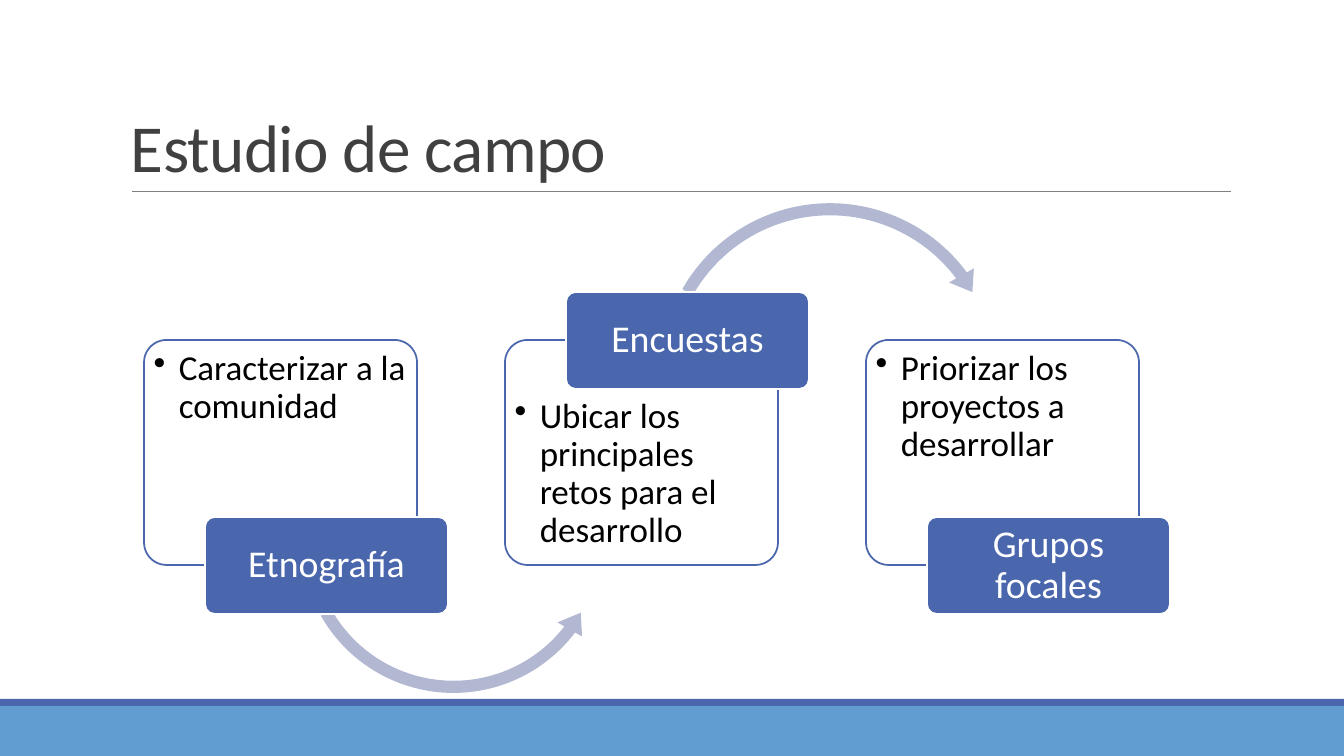
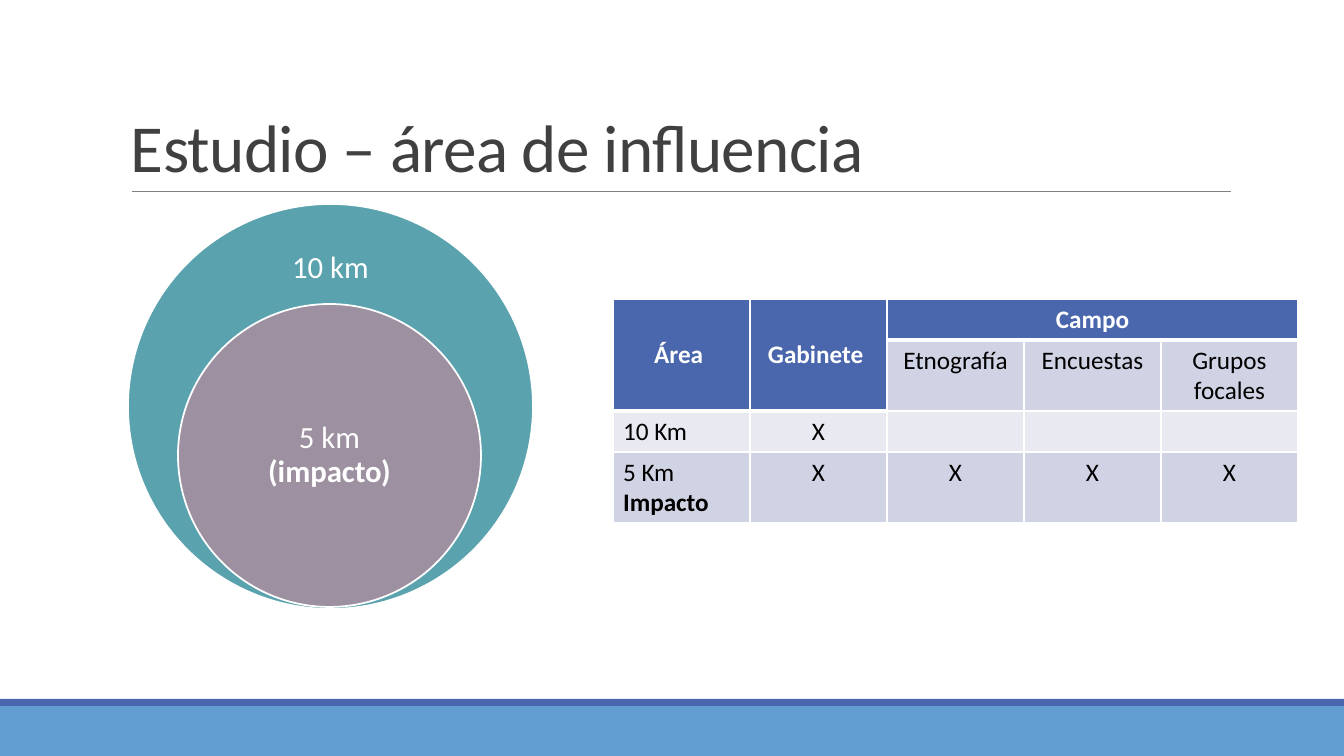
from pptx import Presentation
from pptx.dml.color import RGBColor
from pptx.enum.shapes import MSO_CONNECTOR, MSO_SHAPE
from pptx.enum.text import MSO_ANCHOR, PP_ALIGN
from pptx.oxml.ns import qn
from pptx.util import Emu, Pt
from lxml import etree

RECT, ROUNDED, OVAL = MSO_SHAPE.RECTANGLE, MSO_SHAPE.ROUNDED_RECTANGLE, MSO_SHAPE.OVAL
ARC_OVER, ARC_UNDER = MSO_SHAPE.CIRCULAR_ARROW, MSO_SHAPE.LEFT_CIRCULAR_ARROW
STRAIGHT = MSO_CONNECTOR.STRAIGHT
LEFT, CENTER = PP_ALIGN.LEFT, PP_ALIGN.CENTER
TOP, MIDDLE, BOTTOM = MSO_ANCHOR.TOP, MSO_ANCHOR.MIDDLE, MSO_ANCHOR.BOTTOM

EMU_PER_PIXEL = 914400 / 100.8
WIDTH, HEIGHT = 1344, 756
FONT = "Calibri"
COLORS = {
    "white": "FFFFFF", "black": "000000", "title": "404040", "rule": "808080",
    "blue": "4A66AC", "sky": "629DD1", "arrow": "B2B8D2",
    "teal": "5AA2AE", "mauve": "9D90A0", "band": "D0D3E3", "pale": "E9EAF1",
}


def px(length):
    return Emu(round(length * EMU_PER_PIXEL))


def rgb(name):
    return RGBColor.from_string(COLORS[name])


class Slides:
    """Holds the shared style and the current slide."""

    def __init__(self):
        self.deck = Presentation()
        self.deck.slide_width, self.deck.slide_height = px(WIDTH), px(HEIGHT)
        self.page = None

    def start(self, title):
        self.page = self.deck.slides.add_slide(self.deck.slide_layouts[6])
        self.shape(RECT, 0, 706, WIDTH, 50, "sky")
        self.shape(RECT, 0, 699, WIDTH, 7, "blue")
        self.rule(132, 191, 1231)
        para = self.label(title, 121, 31, 1109, 160, 48, "title", LEFT, BOTTOM, (10, 5), 0.85)
        for span in para.runs:
            span.font._element.set("spc", "-50")

    def shape(self, kind, left, top, width, height, fill, line=None, adjust=()):
        shape = self.page.shapes.add_shape(kind, px(left), px(top), px(width), px(height))
        shape.shadow.inherit = False
        shape.fill.solid()
        shape.fill.fore_color.rgb = rgb(fill)
        if line:
            shape.line.color.rgb = rgb(line)
            shape.line.width = Pt(1.25)
        else:
            shape.line.fill.background()
        for index, value in enumerate(adjust):
            shape.adjustments[index] = value
        return shape

    def rule(self, left, top, right):
        line = self.page.shapes.add_connector(STRAIGHT, px(left), px(top), px(right), px(top))
        line.line.color.rgb = rgb("rule")
        line.line.width = Pt(0.5)
        etree.SubElement(line._element.spPr, qn("a:effectLst"))

    def frame(self, shape, anchor, insets):
        frame = shape.text_frame
        frame.word_wrap = True
        frame.vertical_anchor = anchor
        frame.margin_left = frame.margin_right = px(insets[0])
        frame.margin_top = frame.margin_bottom = px(insets[1])
        return frame

    def set_text(self, frame, text, size, color, align=CENTER, spacing=None, bold=False, strong=""):
        para = frame.paragraphs[0]
        para.text = text
        para.alignment = align
        if spacing:
            para.line_spacing = spacing
        if strong:
            para.add_run().text = strong
        for index, span in enumerate(para.runs):
            span.font.name = FONT
            span.font.size = Pt(size)
            span.font.bold = bold or index > 0
            span.font.color.rgb = rgb(color)
        return para

    def label(self, text, left, top, width, height, size, color, align, anchor, insets, spacing):
        box = self.page.shapes.add_textbox(px(left), px(top), px(width), px(height))
        return self.set_text(self.frame(box, anchor, insets), text, size, color, align, spacing)

    def card(self, text, left, top, width, height, text_top):
        card = self.shape(ROUNDED, left, top, width, height, "white", "blue", [0.1])
        frame = self.frame(card, TOP, (3, 4))
        frame.margin_top = px(text_top)
        para = self.set_text(frame, text, 25, "black", LEFT, 0.9)
        properties = para._p.get_or_add_pPr()
        properties.set("marL", "228600")
        properties.set("indent", "-228600")
        etree.SubElement(properties, qn("a:buChar"), char="•")

    def tag(self, text, left, top, width, height):
        tag = self.shape(ROUNDED, left, top, width, height, "blue", "white", [0.1])
        self.set_text(self.frame(tag, MIDDLE, (6, 4)), text, 27, "white", spacing=0.9)

    def circle(self, left, top, size, fill):
        return self.shape(OVAL, left, top, size, size, fill, "white")

    def arc(self, kind, left, top, size, adjust):
        self.shape(kind, left, top, size, size, "arrow", adjust=adjust)

    def table(self, left, top, column_width, heights, fills):
        columns = len(fills[0])
        table = self.page.shapes.add_table(
            len(heights), columns, px(left), px(top),
            px(column_width * columns), px(sum(heights))).table
        table.first_row = table.horz_banding = False
        for column in table.columns:
            column.width = px(column_width)
        for row, height in enumerate(heights):
            table.rows[row].height = px(height)
            for column, fill in enumerate(fills[row]):
                cell = table.cell(row, column)
                cell.fill.solid()
                cell.fill.fore_color.rgb = rgb(fill)
                above = fills[row - 1][column] if row else fill
                below = fills[row + 1][column] if row + 1 < len(fills) else fill
                self.borders(cell, 3 if above == "blue" != fill else 1,
                             3 if fill == "blue" != below else 1)
        return table

    def borders(self, cell, top, bottom):
        properties = cell._tc.get_or_add_tcPr()
        widths = {"a:lnL": 1, "a:lnR": 1, "a:lnT": top, "a:lnB": bottom}
        for index, (side, width) in enumerate(widths.items()):
            line = etree.Element(qn(side), w=str(Pt(width)))
            solid = etree.SubElement(line, qn("a:solidFill"))
            etree.SubElement(solid, qn("a:srgbClr"), val=COLORS["white"])
            properties.insert(index, line)


slides = Slides()

slides.start("Estudio de campo")
CARD_LEFT, CARD_TOP, CARD_WIDTH, CARD_HEIGHT, CARD_STEP = 144, 340, 273, 225, 361
TAG_SHIFT, TAG_WIDTH, TAG_HEIGHT = 61, 243, 97
steps = [
    ("Etnografía", "Caracterizar a la comunidad", False),
    ("Encuestas", "Ubicar los principales retos para el desarrollo", True),
    ("Grupos focales", "Priorizar los proyectos a desarrollar", False),
]
slides.arc(ARC_UNDER, 293, 380, 321, [0.038, 4.69, 22.445, 90.245, 0.044])
slides.arc(ARC_OVER, 652, 195, 356, [0.034, 4.193, 194.052, 125.755, 0.04])
for index, (method, goal, tag_above) in enumerate(steps):
    left = CARD_LEFT + index * CARD_STEP
    edge = CARD_TOP if tag_above else CARD_TOP + CARD_HEIGHT
    slides.card(goal, left, CARD_TOP, CARD_WIDTH, CARD_HEIGHT, 52 if tag_above else 4)
    slides.tag(method, left + TAG_SHIFT, edge - TAG_HEIGHT // 2, TAG_WIDTH, TAG_HEIGHT)

slides.start("Estudio – área de influencia")
slides.circle(128, 204, 405, "teal")
slides.label("10 km", 224, 234, 213, 69, 22, "white", CENTER, MIDDLE, (17, 17), 0.9)
impact = slides.circle(178, 304, 303, "mauve")
slides.set_text(slides.frame(impact, MIDDLE, (17, 17)), "5 km ", 22, "white",
                spacing=0.9, strong="(impacto)")

fills = [["blue"] * 5, ["blue"] * 2 + ["band"] * 3, ["pale"] * 5, ["band"] * 5]
rows = [
    ["Área ", "Gabinete ", "Campo", "", ""],
    ["", "", "Etnografía", "Encuestas", "Grupos focales"],
    ["10 Km", "X", "", "", ""],
    ["5 Km ", "X", "X", "X", "X"],
]
table = slides.table(613, 299, 137, [41, 71, 41, 71], fills)
for first, last in [((0, 0), (1, 0)), ((0, 1), (1, 1)), ((0, 2), (0, 4))]:
    table.cell(*first).merge(table.cell(*last))
    table.cell(*first).vertical_anchor = MIDDLE if first[1] < 2 else TOP
for row, texts in enumerate(rows):
    for column, text in enumerate(texts):
        if text:
            header = fills[row][column] == "blue"
            slides.set_text(table.cell(row, column).text_frame, text, 18,
                            "white" if header else "black",
                            LEFT if row > 1 and column == 0 else CENTER, bold=header,
                            strong="Impacto" if text == "5 Km " else "")

slides.deck.save("out.pptx")
